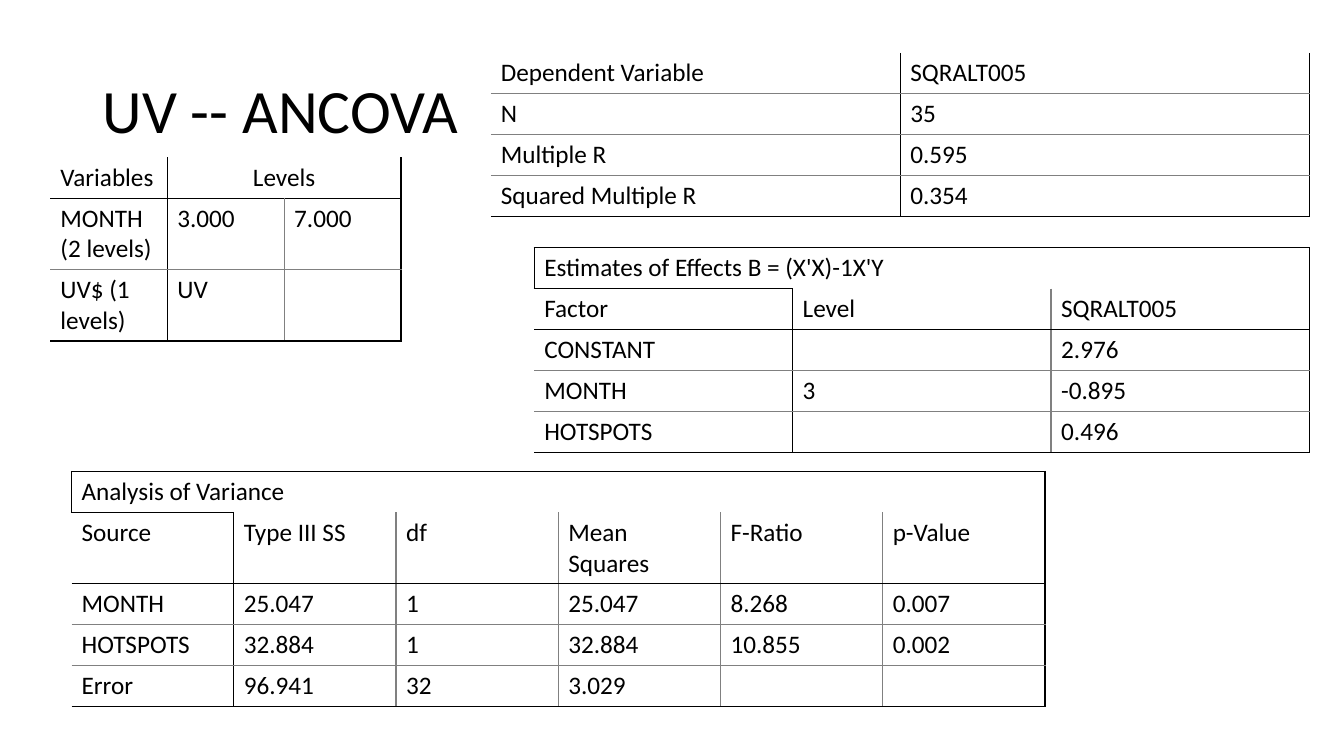
"""Build the UV ANCOVA results slide."""
import pptx
import pptx.util
import pptx.dml.color
import pptx.enum.text
import pptx.oxml
import pptx.oxml.ns

Pt = pptx.util.Pt

THEME = {"font": "Calibri", "black": "000000", "grey": "808080",
         "title": 44, "body": 18, "line": 1, "row": 29.25, "tall": 51}
PLAIN = "{2D5ABB26-0587-4C30-8999-92F81FD0307C}"

TITLE = ("UV -- ANCOVA", (66.2, 28.8, 828, 104.4))

TABLES = [
    {"at": (36, 112.3), "col": 83.5, "head": 0, "tall": [1, 2], "mid": [(0, 1)],
     "rows": [["Variables", "Levels", None],
              ["MONTH (2 levels)", "3.000", "7.000"],
              ["UV$ (1 levels)", "UV", ""]]},
    {"at": (350.6, 37.8), "col": 292.5,
     "rows": [["Dependent Variable", "SQRALT005"],
              ["N", "35"],
              ["Multiple R", "0.595"],
              ["Squared Multiple R", "0.354"]]},
    {"at": (381.6, 177), "col": 184.6, "head": 1, "boxed": True,
     "rows": [["Estimates of Effects B = (X'X)-1X'Y", None, None],
              ["Factor", "Level", "SQRALT005"],
              ["CONSTANT", "", "2.976"],
              ["MONTH", "3", "-0.895"],
              ["HOTSPOTS", "", "0.496"]]},
    {"at": (51.1, 336.8), "col": 115.9, "head": 1, "tall": [1], "boxed": True,
     "rows": [["Analysis of Variance"] + [None] * 5,
              ["Source", "Type III SS", "df", "Mean Squares", "F-Ratio", "p-Value"],
              ["MONTH", "25.047", "1", "25.047", "8.268", "0.007"],
              ["HOTSPOTS", "32.884", "1", "32.884", "10.855", "0.002"],
              ["Error", "96.941", "32", "3.029", "", ""]]},
]


def style(para, size):
    for run in para.runs:
        run.font.name = THEME["font"]
        run.font.size = Pt(size)
        run.font.color.rgb = pptx.dml.color.RGBColor.from_string(THEME["black"])


def right(data, r, c):
    row = data["rows"][r]
    last = len(row) - 1
    end = c
    while end < last and row[end + 1] is None:
        end += 1
    if end > c and row[c] is None:
        return None
    return "black" if end in (0, last) else "grey"


def below(data, r, c):
    if data.get("boxed") and r == 0:
        return "black" if c == 0 else None
    dark = r in (data.get("head"), len(data["rows"]) - 1)
    return "black" if dark else "grey"


def edges(data, r, c):
    box = data.get("boxed") and r == 0
    joined = data["rows"][r][c] is None
    left = None if joined else right(data, r, c - 1) if c else "black" if box else None
    top = below(data, r - 1, c) if r else "black" if box else None
    return {"L": left, "R": right(data, r, c), "T": top, "B": below(data, r, c)}


def border(cell, sides):
    props = cell._tc.get_or_add_tcPr()
    space = pptx.oxml.ns.nsdecls("a")
    for side, tone in sides.items():
        fill = (f'<a:solidFill><a:srgbClr val="{THEME[tone]}"/></a:solidFill>'
                if tone else "<a:noFill/>")
        width = Pt(THEME["line"])
        props.append(pptx.oxml.parse_xml(
            f'<a:ln{side} {space} w="{width}">{fill}</a:ln{side}>'))


def draw(slide, data):
    rows = data["rows"]
    count = len(rows[0])
    highs = [THEME["tall" if r in data.get("tall", []) else "row"]
             for r in range(len(rows))]
    x, y = data["at"]
    table = slide.shapes.add_table(
        len(rows), count, Pt(x), Pt(y),
        Pt(data["col"] * count), Pt(sum(highs))).table
    table._tbl.tblPr[0].text = PLAIN
    table.first_row = table.horz_banding = False
    for col in table.columns:
        col.width = Pt(data["col"])
    for r, row in enumerate(rows):
        table.rows[r].height = Pt(highs[r])
        for c, text in enumerate(row):
            cell = table.cell(r, c)
            border(cell, edges(data, r, c))
            cell.fill.background()
            if text:
                cell.text_frame.text = text
                para = cell.text_frame.paragraphs[0]
                style(para, THEME["body"])
                if (r, c) in data.get("mid", []):
                    para.alignment = pptx.enum.text.PP_ALIGN.CENTER
        if None in row:
            start = row.index(None) - 1
            table.cell(r, start).merge(table.cell(r, count - 1))


def main():
    deck = pptx.Presentation()
    deck.slide_width, deck.slide_height = Pt(960), Pt(540)
    slide = deck.slides.add_slide(deck.slide_layouts[6])
    text, place = TITLE
    frame = slide.shapes.add_textbox(*map(Pt, place)).text_frame
    frame.word_wrap = True
    frame.vertical_anchor = pptx.enum.text.MSO_ANCHOR.MIDDLE
    frame.text = text
    frame.paragraphs[0].line_spacing = 0.9
    style(frame.paragraphs[0], THEME["title"])
    for data in TABLES:
        draw(slide, data)
    deck.save("out.pptx")


if __name__ == "__main__":
    main()
